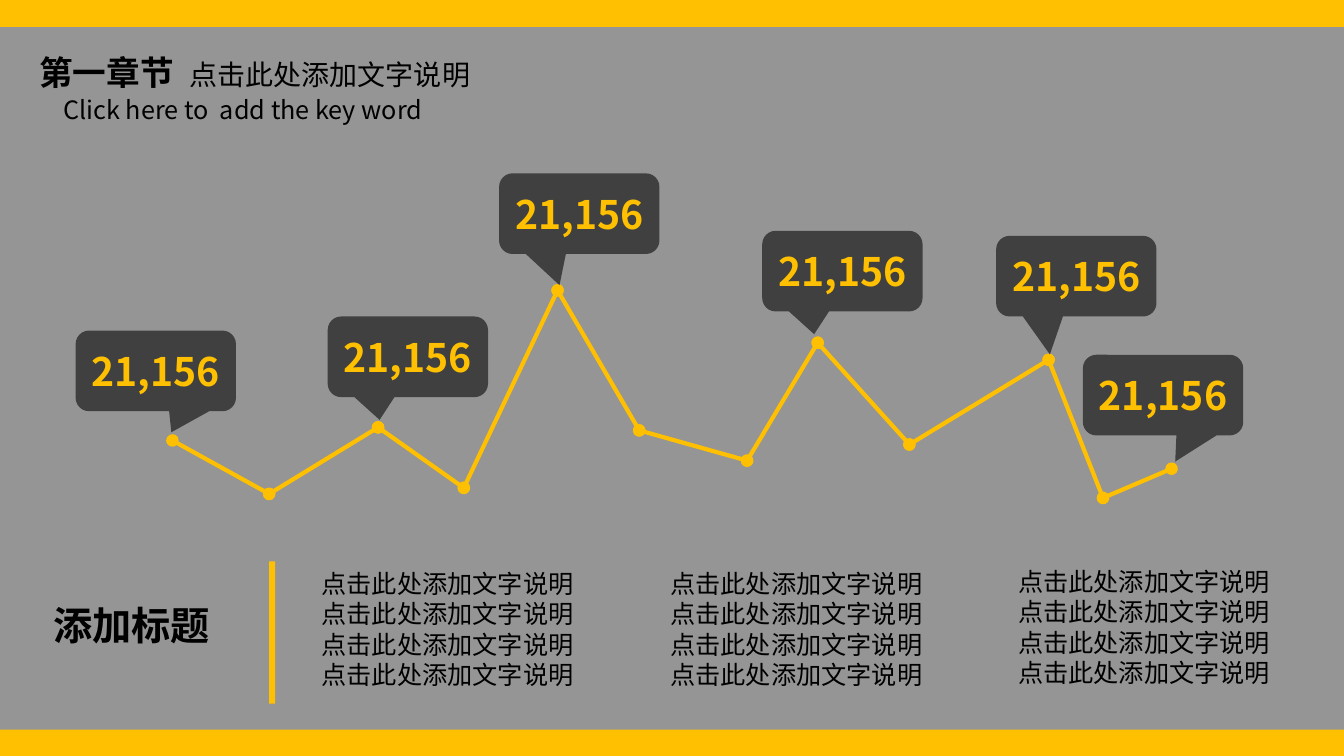
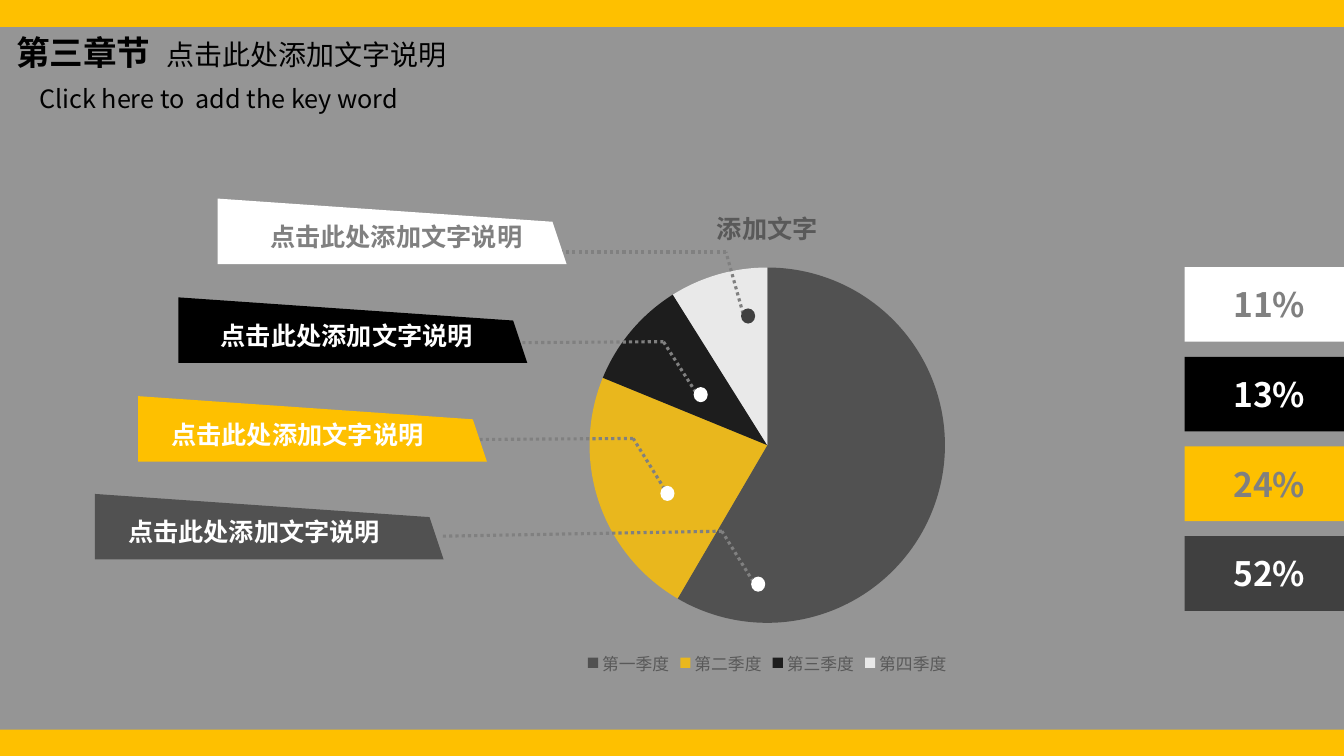
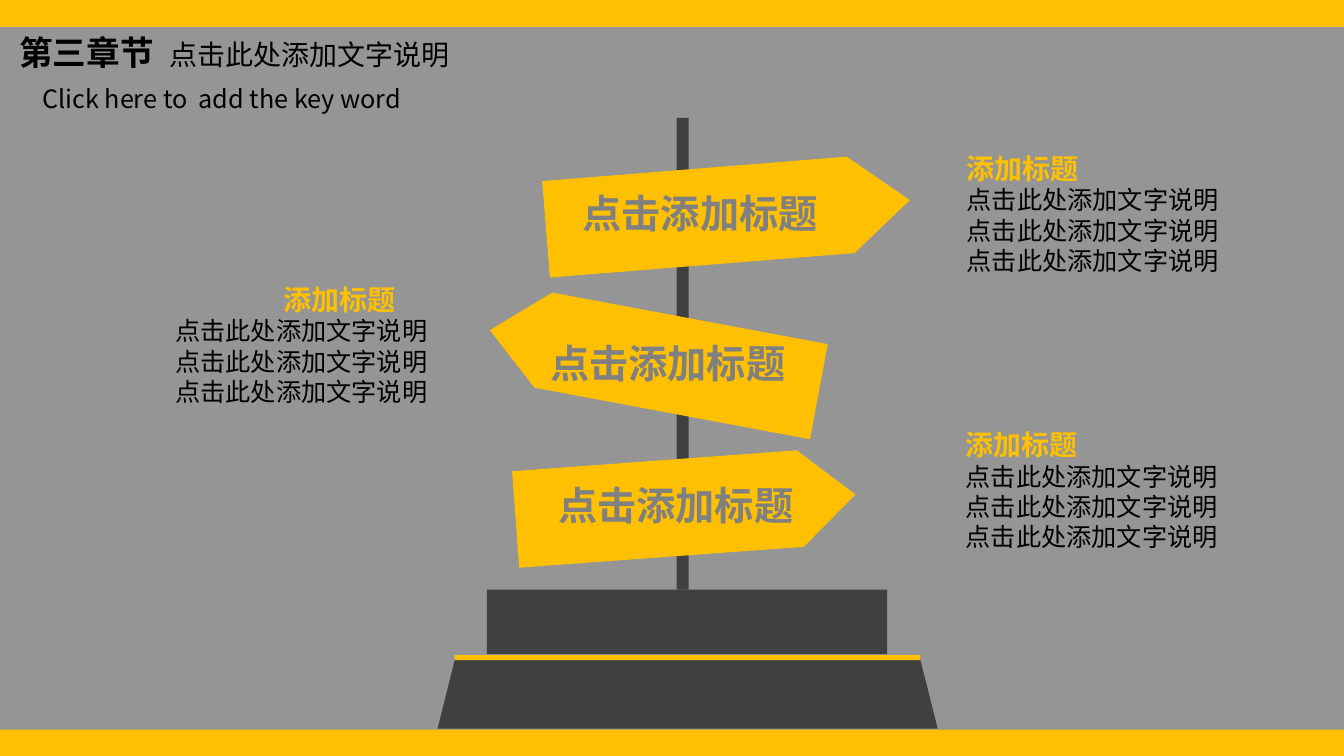
import itertools

import pptx
import pptx.chart.data
import pptx.dml.color
import pptx.enum.chart
import pptx.enum.dml
import pptx.enum.shapes
import pptx.enum.text
import pptx.oxml
import pptx.oxml.ns
import pptx.util
from lxml import etree

Inches = pptx.util.Inches
Pt = pptx.util.Pt
RGBColor = pptx.dml.color.RGBColor
SHAPE = pptx.enum.shapes.MSO_SHAPE
STRAIGHT = pptx.enum.shapes.MSO_CONNECTOR.STRAIGHT
ALIGN = pptx.enum.text.PP_ALIGN
qn = pptx.oxml.ns.qn

YELLOW = RGBColor(0xFE, 0xC0, 0x00)
PANEL_GRAY = RGBColor(0x95, 0x95, 0x95)
MID_GRAY = RGBColor(0x80, 0x80, 0x80)
LEGEND_GRAY = RGBColor(0x59, 0x59, 0x59)
FLAG_GRAY = RGBColor(0x51, 0x51, 0x51)
DARK = RGBColor(0x40, 0x40, 0x40)
BLACK = RGBColor(0, 0, 0)
WHITE = RGBColor(255, 255, 255)
FONT = "Noto Sans CJK SC"
HINT = "点击此处添加文字说明"


def paint(shape, fill):
    """Give a shape a plain fill with no outline or shadow."""
    shape.shadow.inherit = False
    shape.fill.solid()
    shape.fill.fore_color.rgb = fill
    shape.line.fill.background()
    return shape


def write(frame, lines, align=ALIGN.LEFT):
    """Fill a frame; each line is a list of (text, size, colour, bold) spans."""
    for number, spans in enumerate(lines):
        para = frame.paragraphs[0] if number == 0 else frame.add_paragraph()
        para.alignment = align
        para.line_spacing = Pt(round(1.2 * spans[0][1], 1))
        for text, size, color, bold in spans:
            span = para.add_run()
            span.text = text
            span.font.name = FONT
            span.font.size = Pt(size)
            span.font.bold = bold
            span.font.color.rgb = color
            etree.SubElement(span.font._element, qn("a:ea"), typeface=FONT)


deck = pptx.Presentation()
deck.slide_width, deck.slide_height = Inches(13.33), Inches(7.5)

# Shared look: yellow background and title-only layout
background = deck.slide_master.background.fill
background.solid()
background.fore_color.rgb = YELLOW
layout = deck.slide_layouts[5]

# Pages with chapter title and subtitle
headings = [
    ("第一章节", 0.29, 0.46, 0.53, 0.89),
    ("第三章节", 0.06, 0.27, 0.29, 0.78),
    ("第三章节", 0.09, 0.27, 0.32, 0.78),
]
pages = []
for chapter, left, top, sub_left, sub_top in headings:
    page = deck.slides.add_slide(layout)
    pages.append(page)
    title = page.shapes.title
    title.left, title.top = Inches(left), Inches(top)
    title.width, title.height = Inches(4.51), Inches(0.5)
    title.text_frame.vertical_anchor = pptx.enum.text.MSO_ANCHOR.TOP
    title.text_frame.auto_size = pptx.enum.text.MSO_AUTO_SIZE.NONE
    write(title.text_frame, [[(chapter + "\t", 24, BLACK, True), (HINT, 20, BLACK, False)]])
    tabs = etree.SubElement(title.text_frame.paragraphs[0]._p.get_or_add_pPr(), qn("a:tabLst"))
    etree.SubElement(tabs, qn("a:tab"), pos=str(Inches(1.49)), algn="l")
    box = page.shapes.add_textbox(Inches(sub_left), Inches(sub_top), Inches(4.05), Inches(0.4))
    box.text_frame.word_wrap = True
    write(box.text_frame, [[("Click here to  add the key word", 18, BLACK, False)]])
trend_page, pie_page, sign_page = pages

# Gray panel, moved to the layout so that all pages share it
panel = paint(trend_page.shapes.add_shape(
    SHAPE.RECTANGLE, 0, Inches(0.27), Inches(13.33), Inches(6.97)), PANEL_GRAY)
panel._element.nvSpPr.cNvPr.set("id", "99")
layout.shapes._spTree.insert(2, panel._element)

# Slide 1: trend line
points = [
    (1.71, 4.37), (2.67, 4.9), (3.75, 4.24), (4.6, 4.84), (5.53, 2.88), (6.34, 4.27),
    (7.41, 4.57), (8.11, 3.4), (9.02, 4.41), (10.4, 3.57), (10.94, 4.94), (11.62, 4.65),
]
for start, end in itertools.pairwise(points):
    line = trend_page.shapes.add_connector(STRAIGHT, *map(Inches, start + end))
    line.line.color.rgb = YELLOW
    line.line.width = Pt(3)
    for tag in ("a:headEnd", "a:tailEnd"):
        etree.SubElement(line.line._get_or_add_ln(), qn(tag), type="oval")
    etree.SubElement(line._element.spPr, qn("a:effectLst"))

# Slide 1: callouts with their values
callouts = [
    (4.95, 1.72, -0.123, 0.887), (7.56, 2.29, -0.176, 0.782), (10.74, 3.52, 0.076, 0.824),
    (9.88, 2.34, -0.165, 0.97), (3.25, 3.14, -0.176, 0.782), (0.75, 3.28, 0.097, 0.761),
]
for left, top, tip_x, tip_y in callouts:
    callout = paint(trend_page.shapes.add_shape(
        SHAPE.ROUNDED_RECTANGULAR_CALLOUT,
        Inches(left), Inches(top), Inches(1.59), Inches(0.8)), DARK)
    callout.adjustments[0], callout.adjustments[1] = tip_x, tip_y
    callout.text_frame.word_wrap = False
    write(callout.text_frame, [[("21,156", 28, YELLOW, True)]], ALIGN.CENTER)

# Slide 1: heading, divider and three columns
box = trend_page.shapes.add_textbox(Inches(0.43), Inches(5.92), Inches(1.81), Inches(0.57))
box.text_frame.word_wrap = True
write(box.text_frame, [[("添加标题", 28, BLACK, True)]])
paint(trend_page.shapes.add_shape(
    SHAPE.RECTANGLE, Inches(2.67), Inches(5.57), Inches(0.06), Inches(1.41)), YELLOW)
for left, top in [(3.09, 5.59), (6.55, 5.59), (10, 5.57)]:
    box = trend_page.shapes.add_textbox(Inches(left), Inches(top), Inches(2.93), Inches(1.31))
    box.text_frame.word_wrap = True
    write(box.text_frame, [[(HINT, 18, BLACK, False)]] * 4)

# Slide 2: pie chart
data = pptx.chart.data.CategoryChartData()
data.categories = ["第一季度", "第二季度", "第三季度", "第四季度"]
data.add_series("Series 1", (59, 23, 10, 9))
chart = pie_page.shapes.add_chart(
    pptx.enum.chart.XL_CHART_TYPE.PIE,
    Inches(4.22), Inches(1.85), Inches(6.78), Inches(4.89), data).chart
chart.font.name = "Calibri"
chart.font.size = Pt(10)
chart.font.color.rgb = BLACK
chart.has_title = True
write(chart.chart_title.text_frame, [[("添加文字", 18, LEGEND_GRAY, True)]], ALIGN.CENTER)
chart.has_legend = True
chart.legend.position = pptx.enum.chart.XL_LEGEND_POSITION.BOTTOM
chart.legend.include_in_layout = False
chart.legend.font.name = "Calibri"
chart.legend.font.size = Pt(12)
chart.legend.font.color.rgb = LEGEND_GRAY
plot = chart.plots[0]
plot.vary_by_categories = True
for number, color in enumerate([DARK, YELLOW, BLACK, WHITE]):
    slice_format = plot.series[0].points[number].format
    slice_format.fill.solid()
    slice_format.fill.fore_color.rgb = color
    slice_format.line.fill.background()
    for rgb in slice_format._element.iter(qn("a:srgbClr")):
        etree.SubElement(rgb, qn("a:alpha"), val="80000")

# Slide 2: fixed place of the pie inside the chart
plot_area = chart._chartSpace.find(".//" + qn("c:plotArea"))
for old_layout in plot_area.findall(qn("c:layout")):
    plot_area.remove(old_layout)
plot_layout = etree.Element(qn("c:layout"))
manual = etree.SubElement(plot_layout, qn("c:manualLayout"))
for tag, value in [("layoutTarget", "inner"), ("xMode", "edge"), ("yMode", "edge"),
                   ("x", "0.24"), ("y", "0.16"), ("w", "0.52"), ("h", "0.73")]:
    etree.SubElement(manual, qn("c:" + tag), val=value)
plot_area.insert(0, plot_layout)

# Slide 2: dotted leaders from the flags to the slices
leaders = [
    ((7.37, 3.11), (7.2, 2.5), (5.45, 2.5), (7.35, 3.06), DARK),
    ((6.9, 3.89), (6.58, 3.39), (5.05, 3.4), (6.88, 3.84), WHITE),
    ((6.59, 4.85), (6.28, 4.35), (4.75, 4.36), (6.55, 4.82), WHITE),
    ((7.47, 5.77), (7.16, 5.27), (4.37, 5.32), (7.45, 5.72), WHITE),
]
for *route, dot, color in leaders:
    for start, end in itertools.pairwise(route):
        line = pie_page.shapes.add_connector(STRAIGHT, *map(Inches, start + end))
        line.line.color.rgb = MID_GRAY
        line.line.width = Pt(2.25)
        line.line.dash_style = pptx.enum.dml.MSO_LINE.ROUND_DOT
        etree.SubElement(line._element.spPr, qn("a:effectLst"))
    paint(pie_page.shapes.add_shape(
        SHAPE.FLOWCHART_CONNECTOR, *map(Inches, dot), Inches(0.14), Inches(0.15)), color)

# Slide 2: slanted flags
flags = [
    (2.16, 1.97, 0.52, WHITE, MID_GRAY), (1.77, 2.95, 0.42, BLACK, WHITE),
    (1.37, 3.93, 0.33, YELLOW, WHITE), (0.94, 4.9, 0.33, FLAG_GRAY, WHITE),
]
for left, top, indent, fill, color in flags:
    outline = pie_page.shapes.build_freeform(Inches(left), Inches(top))
    outline.add_line_segments(
        [(Inches(left + x), Inches(top + y)) for x, y in [(3.32, 0.23), (3.46, 0.65), (0, 0.65)]])
    flag = paint(outline.convert_to_shape(), fill)
    flag.text_frame.word_wrap = False
    flag.text_frame.margin_left = Inches(indent)
    flag.text_frame.margin_top = Inches(0.15)
    write(flag.text_frame, [[(HINT, 18, color, True)]])

# Slide 2: percentages at the right edge
shares = [("11%", WHITE, MID_GRAY), ("13%", BLACK, WHITE),
          ("24%", YELLOW, MID_GRAY), ("52%", DARK, WHITE)]
for row, (share, fill, color) in enumerate(shares):
    tile = paint(pie_page.shapes.add_shape(
        SHAPE.RECTANGLE, Inches(11.75), Inches(2.65 + 0.89 * row),
        Inches(1.58), Inches(0.74)), fill)
    tile.text_frame.margin_left, tile.text_frame.margin_right = Inches(0.1), 0
    write(tile.text_frame, [[(share, 24, color, True)]], ALIGN.CENTER)

# Slide 3: post and base
for kind, left, top, width, height, fill in [
    (SHAPE.RECTANGLE, 4.83, 5.85, 3.97, 0.64, DARK),
    (SHAPE.TRAPEZOID, 4.34, 6.53, 4.96, 0.7, DARK),
    (SHAPE.RECTANGLE, 4.51, 6.5, 4.62, 0.05, YELLOW),
    (SHAPE.RECTANGLE, 6.71, 1.17, 0.12, 4.68, DARK),
]:
    paint(sign_page.shapes.add_shape(
        kind, Inches(left), Inches(top), Inches(width), Inches(height)), fill)

# Slide 3: arrow signs (centre, length, point length, turn) and their labels
signs = [
    (7.22, 2.13, 3.62, 0.59, 355.4, 5.68, 1.83),
    (6.49, 3.58, 3.32, 0.54, 190.6, 5.36, 3.32),
    (6.8, 5.03, 3.38, 0.55, 355.8, 5.44, 4.73),
]
for center_x, center_y, length, point, turn, label_left, label_top in signs:
    sign = paint(sign_page.shapes.add_shape(
        SHAPE.PENTAGON, Inches(center_x - length / 2), Inches(center_y - 0.48),
        Inches(length), Inches(0.96)), YELLOW)
    sign.adjustments[0] = point / 0.96
    sign.rotation = turn
    box = sign_page.shapes.add_textbox(
        Inches(label_left), Inches(label_top), Inches(2.54), Inches(0.57))
    box.text_frame.word_wrap = True
    write(box.text_frame, [[("点击添加标题", 28, MID_GRAY, True)]])

# Slide 3: explanations beside the signs
for left, top, indent in [(9.49, 1.45, 0), (1.64, 2.75, 1.07), (9.48, 4.19, 0)]:
    box = sign_page.shapes.add_textbox(Inches(left), Inches(top), Inches(2.93), Inches(1.35))
    box.text_frame.word_wrap = True
    write(box.text_frame, [[("添加标题", 20, YELLOW, True)]] + [[(HINT, 18, BLACK, False)]] * 3)
    box.text_frame.paragraphs[0]._p.get_or_add_pPr().set("marL", str(Inches(indent)))

deck.save("out.pptx")
